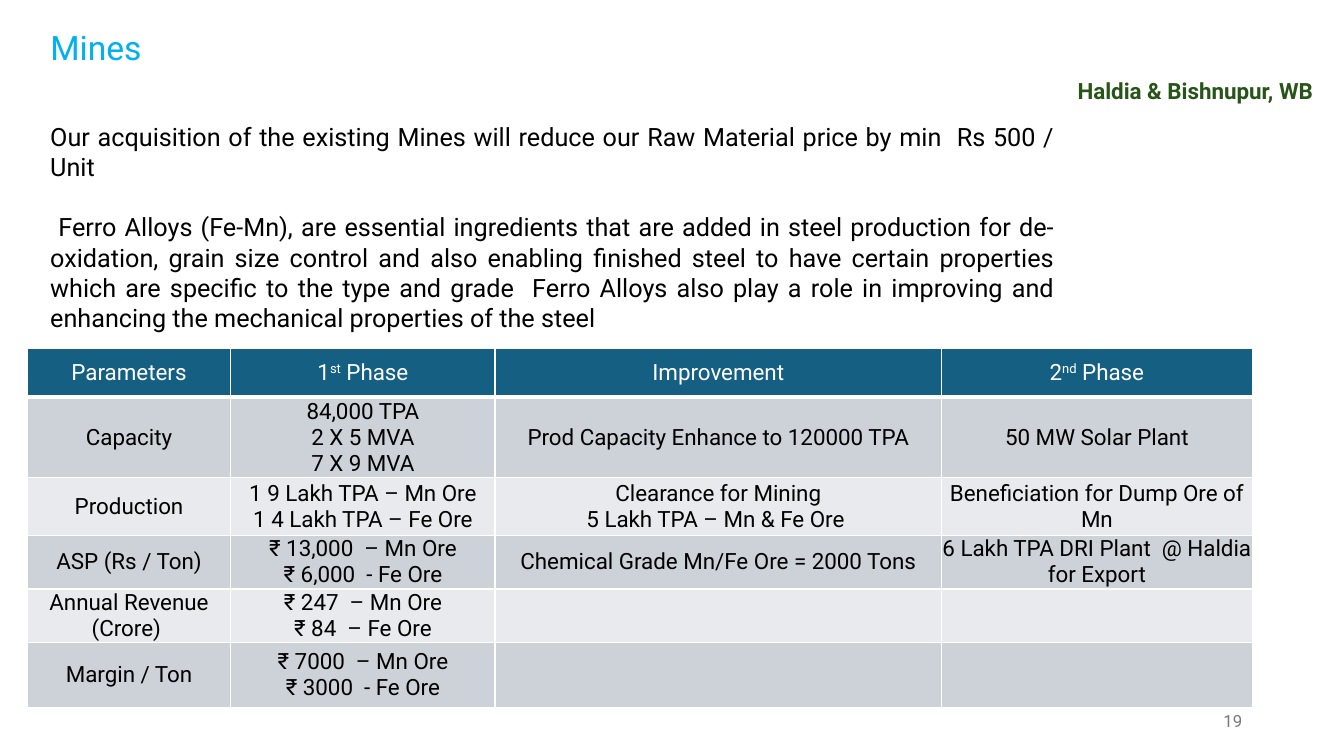
from lxml.etree import SubElement
from pptx import Presentation
from pptx.dml.color import RGBColor
from pptx.enum.text import MSO_ANCHOR, PP_ALIGN
from pptx.oxml.ns import qn
from pptx.util import Inches, Pt

FONT = "Roboto"
COLUMN_WIDTHS = [2.02, 2.62, 4.43, 3.08]
ROW_HEIGHTS = [0.48, 0.76, 0.57, 0.52, 0.52, 0.64]
HEADER_FILL = "156082"
BAND_FILLS = ["E8EAED", "CCD2D8"]

HEADER = [
    [("Parameters", False)],
    [("1", False), ("st", True), (" Phase", False)],
    [("Improvement", False)],
    [("2", False), ("nd", True), (" Phase", False)],
]
PARAMETERS = [
    ["Capacity", "84,000 TPA\n2 X 5 MVA\n7 X 9 MVA",
     "Prod Capacity Enhance to 120000 TPA", "50 MW Solar Plant"],
    ["Production", "1 9 Lakh TPA – Mn Ore\n1 4 Lakh TPA – Fe Ore",
     "Clearance for Mining\n5 Lakh TPA – Mn & Fe Ore ",
     "Beneficiation for Dump Ore of Mn"],
    ["ASP (Rs / Ton)", "₹ 13,000  – Mn Ore\n₹ 6,000  - Fe Ore",
     "Chemical Grade Mn/Fe Ore = 2000 Tons",
     "6 Lakh TPA DRI Plant  @ Haldia for Export"],
    ["Annual Revenue\n(Crore) ", "₹ 247  – Mn Ore\n₹ 84  – Fe Ore", "", ""],
    ["Margin / Ton", "₹ 7000  – Mn Ore\n₹ 3000  - Fe Ore", "", ""],
]
INTRODUCTION = [
    "Our acquisition of the existing Mines will reduce our Raw Material price "
    "by min  Rs 500 / Unit",
    " Ferro Alloys (Fe-Mn), are essential ingredients that are added in steel "
    "production for de-oxidation, grain size control and also enabling finished "
    "steel to have certain properties which are specific to the type and grade  "
    "Ferro Alloys also play a role in improving and enhancing the mechanical "
    "properties of the steel",
]


def color(value):
    return RGBColor.from_string(value)


def style(paragraph, size, ink, align, bold=False):
    paragraph.alignment = align
    font = paragraph.font
    font.name, font.size, font.bold = FONT, Pt(size), bold
    font.color.rgb = color(ink)


def add_text(slide, place, lines, size, ink, align=PP_ALIGN.LEFT,
             bold=False, anchor=MSO_ANCHOR.TOP):
    frame = slide.shapes.add_textbox(*map(Inches, place)).text_frame
    frame.word_wrap = True
    frame.vertical_anchor = anchor
    frame.text = "\n".join(lines)
    for paragraph in frame.paragraphs:
        style(paragraph, size, ink, align, bold)
    return frame.paragraphs


def add_borders(cell, top, bottom):
    properties = cell._tc.get_or_add_tcPr()
    for side, width in (("L", 1), ("R", 1), ("T", top), ("B", bottom)):
        line = SubElement(properties, qn(f"a:ln{side}"), w=str(Pt(width)))
        fill = SubElement(line, qn("a:solidFill"))
        SubElement(fill, qn("a:srgbClr"), val="FFFFFF")


def finish_cell(cell, background, ink, top=1, bottom=1):
    cell.margin_left = cell.margin_right = 0
    cell.margin_top = cell.margin_bottom = 0
    cell.vertical_anchor = MSO_ANCHOR.MIDDLE
    add_borders(cell, top, bottom)
    cell.fill.solid()
    cell.fill.fore_color.rgb = color(background)
    for paragraph in cell.text_frame.paragraphs:
        style(paragraph, 16, ink, PP_ALIGN.CENTER)


def add_header(table):
    for column, parts in enumerate(HEADER):
        cell = table.cell(0, column)
        paragraph = cell.text_frame.paragraphs[0]
        for text, raised in parts:
            run = paragraph.add_run()
            run.text = text
            if raised:
                run._r.get_or_add_rPr().set("baseline", "30000")
        finish_cell(cell, HEADER_FILL, "FFFFFF", bottom=3)


def add_phase_table(slide):
    table = slide.shapes.add_table(
        len(ROW_HEIGHTS), len(COLUMN_WIDTHS), Inches(0.27), Inches(3.46),
        Inches(sum(COLUMN_WIDTHS)), Inches(sum(ROW_HEIGHTS))).table
    for column, width in zip(table.columns, COLUMN_WIDTHS):
        column.width = Inches(width)
    for row, height in zip(table.rows, ROW_HEIGHTS):
        row.height = Inches(height)
    add_header(table)
    for row, texts in enumerate(PARAMETERS, 1):
        for column, text in enumerate(texts):
            cell = table.cell(row, column)
            cell.text = text
            finish_cell(cell, BAND_FILLS[row % 2], "000000",
                        top=3 if row == 1 else 1)


def main():
    presentation = Presentation()
    presentation.slide_width = Inches(13.33)
    presentation.slide_height = Inches(7.5)
    slide = presentation.slides.add_slide(presentation.slide_layouts[6])

    add_text(slide, (9.42, 6.95, 3, 0.4), ["19"], 12, "797979",
             PP_ALIGN.RIGHT, anchor=MSO_ANCHOR.MIDDLE)
    add_phase_table(slide)
    title = add_text(slide, (0.4, 0.26, 7.75, 0.47), ["Mines"], 24, "00B0F0")
    title[0].line_spacing = 0.9
    add_text(slide, (10.56, 0.72, 2.59, 0.37), ["Haldia & Bishnupur, WB"],
             16, "275417", PP_ALIGN.CENTER, bold=True)
    introduction = add_text(slide, (0.4, 1.15, 10.16, 1.92), INTRODUCTION,
                            18, "000000", PP_ALIGN.JUSTIFY)
    introduction[0].space_after = Pt(21.6)

    presentation.save("out.pptx")


if __name__ == "__main__":
    main()
